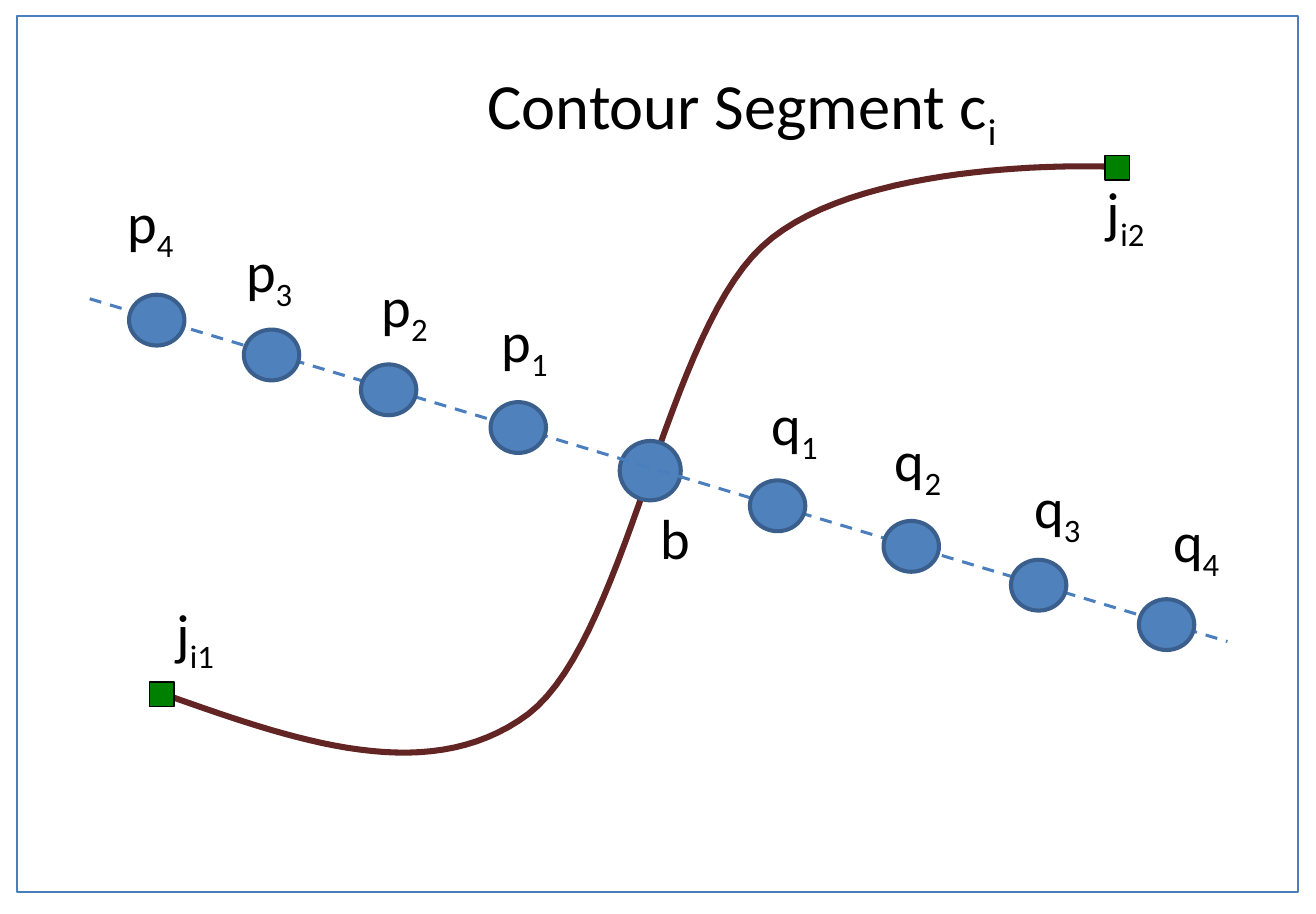
from pptx import Presentation
from pptx.dml.color import RGBColor
from pptx.enum.dml import MSO_LINE
from pptx.enum.shapes import MSO_CONNECTOR, MSO_SHAPE
from pptx.enum.text import PP_ALIGN
from pptx.oxml.ns import qn
from pptx.util import Cm, Pt
from lxml import etree

COLORS = {
    "point": "4F81BD", "point_edge": "3A5F8C", "line": "4B7EBC",
    "contour": "632523", "junction": "008000", "text": "000000",
}


def add_shape(kind, x, y, w, h, edge, width, fill=None):
    sp = s.shapes.add_shape(kind, Cm(x), Cm(y), Cm(w), Cm(h))
    sp.shadow.inherit = False
    sp.line.color.rgb = RGBColor.from_string(COLORS[edge])
    sp.line.width = Pt(width)
    if fill:
        sp.fill.solid()
        sp.fill.fore_color.rgb = RGBColor.from_string(COLORS[fill])
    else:
        sp.fill.background()


def add_label(base, sub, x, y, w=2.4, h=1.6, size=28, align=PP_ALIGN.LEFT):
    """Add a text box whose second run is a subscript."""
    tf = s.shapes.add_textbox(Cm(x), Cm(y), Cm(w), Cm(h)).text_frame
    tf.word_wrap = True
    p = tf.paragraphs[0]
    p.alignment = align
    for text, offset in ((base, None), (sub, "-25000")):
        if not text:
            continue
        r = p.add_run()
        r.text = text
        r.font.size = Pt(size)
        r.font.name = "Calibri"
        r.font.color.rgb = RGBColor.from_string(COLORS["text"])
        if offset:
            r.font._element.set("baseline", offset)


prs = Presentation()
prs.slide_width, prs.slide_height = Cm(23.04), Cm(16)
s = prs.slides.add_slide(prs.slide_layouts[6])

# Contour: three cubic Bezier pieces, sampled finely
contour = [
    (2.92, 12.17), (5.21, 12.98), (7.52, 13.79), (9.25, 12.5),
    (10.97, 11.18), (11.63, 5.92), (13.34, 4.32),
    (15.04, 2.72), (19.46, 2.92), (19.46, 2.92),
]
STEPS = 30
samples = []
for i in range(0, len(contour) - 1, 3):
    for k in range(1, STEPS + 1):
        t = k / STEPS
        weights = ((1 - t) ** 3, 3 * t * (1 - t) ** 2, 3 * t ** 2 * (1 - t), t ** 3)
        x, y = (sum(w * c for w, c in zip(weights, axis))
                for axis in zip(*contour[i:i + 4]))
        samples.append((Cm(x), Cm(y)))
x, y = contour[0]
builder = s.shapes.build_freeform(Cm(x), Cm(y))
builder.add_line_segments(samples, close=False)
sp = builder.convert_to_shape()
sp.shadow.inherit = False
sp.fill.background()
sp.line.color.rgb = RGBColor.from_string(COLORS["contour"])
sp.line.width = Pt(3)

# Boundary point b, with the dashed sampling line over it
add_shape(MSO_SHAPE.OVAL, 10.85, 7.72, 1.07, 1.04, "point_edge", 2, "point")
cx = s.shapes.add_connector(MSO_CONNECTOR.STRAIGHT, Cm(1.57), Cm(5.23), Cm(21.49), Cm(11.23))
cx.line.color.rgb = RGBColor.from_string(COLORS["line"])
cx.line.width = Pt(1.5)
cx.line.dash_style = MSO_LINE.DASH
etree.SubElement(cx._element.spPr, qn("a:effectLst"))

# Sample points: name, index, circle corner, label corner
points = [
    ("p", "4", (2.26, 5.16), (1.98, 3.15)),
    ("p", "3", (4.27, 5.77), (4.06, 4.01)),
    ("p", "2", (6.32, 6.38), (6.43, 4.62)),
    ("p", "1", (8.59, 7.04), (8.53, 5.23)),
    ("q", "1", (13.13, 8.41), (13.26, 6.68)),
    ("q", "2", (15.47, 9.12), (15.42, 7.32)),
    ("q", "3", (17.7, 9.8), (17.86, 8.13)),
    ("q", "4", (19.94, 10.49), (20.29, 8.74)),
]
for name, index, circle, label in points:
    add_shape(MSO_SHAPE.OVAL, *circle, 0.97, 0.89, "point_edge", 2, "point")
    add_label(name, index, *label)
add_label("b", "", 11.07, 8.69, w=1.52, align=PP_ALIGN.CENTER)

# Frame, title and the two junctions
add_shape(MSO_SHAPE.RECTANGLE, 0.3, 0.28, 22.43, 15.34, "line", 0.75)
add_label("Contour Segment c", "i", 6.99, 1.02, w=12, size=32, align=PP_ALIGN.CENTER)
junctions = [
    ("i2", (19.35, 2.72), (19.13, 2.95)),
    ("i1", (2.62, 11.94), (2.84, 10.34)),
]
for index, square, label in junctions:
    add_shape(MSO_SHAPE.RECTANGLE, *square, 0.43, 0.43, "text", 0.75, "junction")
    add_label("j", index, *label, w=1.5)

prs.save("out.pptx")
